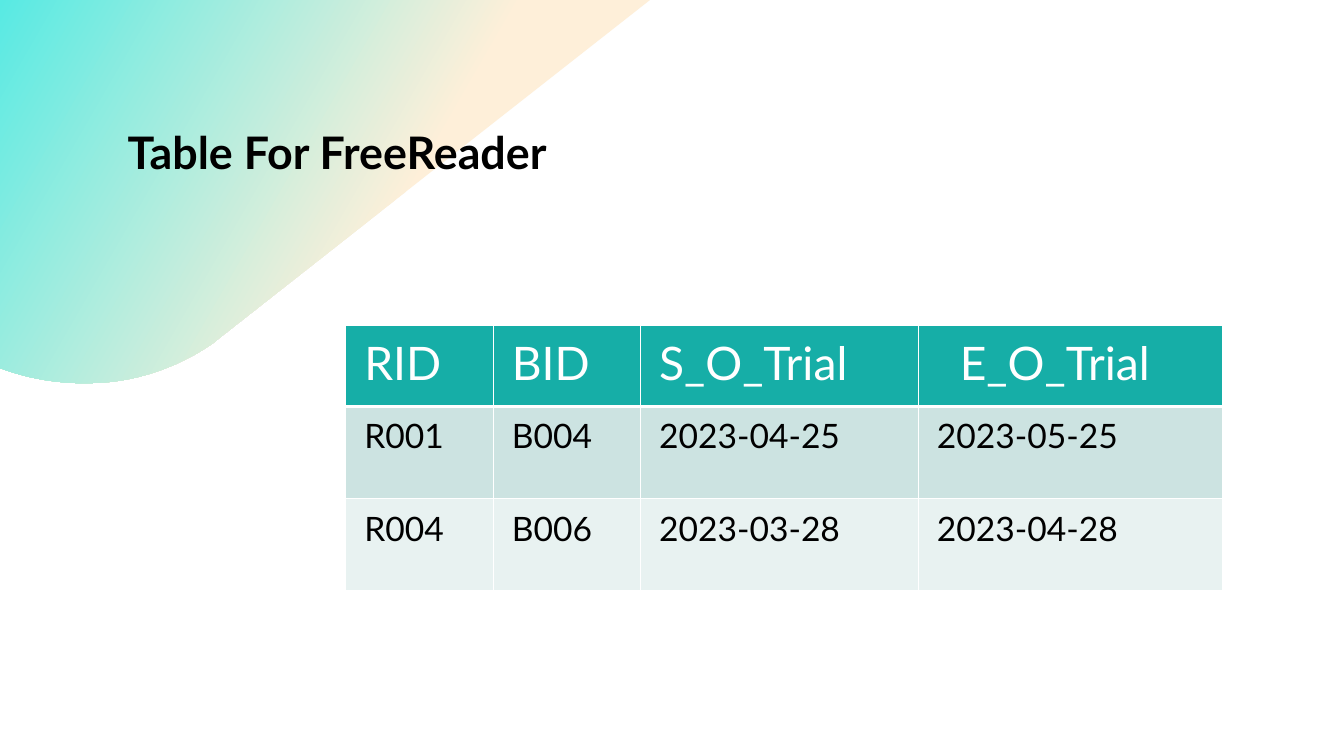
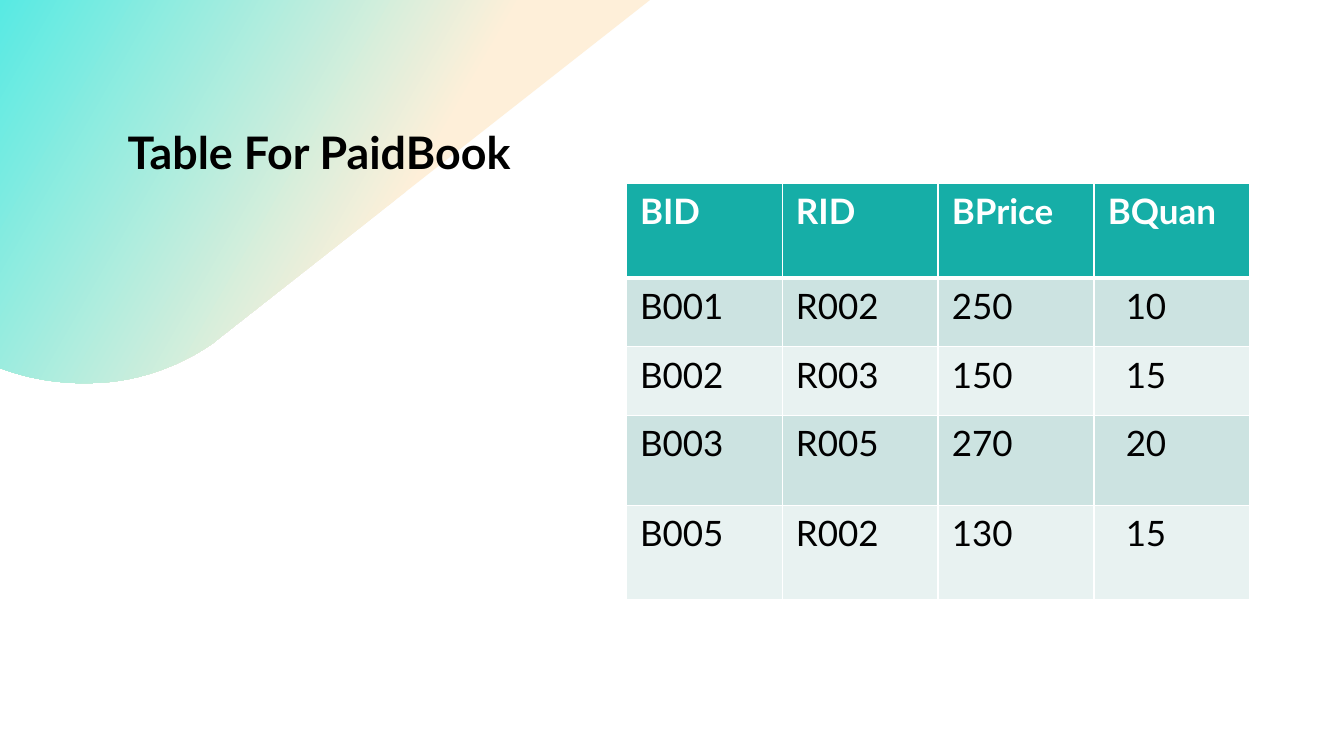
import lxml.etree
import pptx
import pptx.dml.color
import pptx.oxml.ns
import pptx.util

Cm = pptx.util.Cm
Pt = pptx.util.Pt


class Theme:
    font = "Lato"
    black = "000000"
    white = "FFFFFF"
    teal = "16AEA7"
    bands = ("CCE3E1", "E8F2F1")
    fade = ((0.4, "FEEFD9"), (1, "58EAE3"))
    slant = 330
    title = 32
    thin = 1
    thick = 3


SLIDES = [
    {
        "title": "Table For FreeReader",
        "rows": [
            ("RID", "BID", "S_O_Trial", "E_O_Trial"),
            ("R001", "B004", "2023-04-25", "2023-05-25"),
            ("R004", "B006", "2023-03-28", "2023-04-28"),
        ],
        "at": (8.71, 8.2),
        "widths": (3.72, 3.71, 7, 7.68),
        "heights": (2.04, 2.33, 2.32),
        "pad": (0.47, 0.23),
        "head": (33, False),
        "body": 24,
        "shift": {(0, 3): 0.58},
    },
    {
        "title": "Table For PaidBook",
        "rows": [
            ("BID", "RID", "BPrice", "BQuan"),
            ("B001", "R002", "250", "10"),
            ("B002", "R003", "150", "15"),
            ("B003", "R005", "270", "20"),
            ("B005", "R002", "130", "15"),
        ],
        "at": (15.78, 4.62),
        "widths": (3.93,) * 4,
        "heights": (2.39, 1.73, 1.72, 2.27, 2.39),
        "pad": (0.35, 0.18),
        "head": (25, True),
        "body": 25,
        "shift": {(row, 3): 0.45 for row in range(1, 5)},
    },
]

EDGE = [(0, 9.27), (0, 0), (16.38, 0), (5.51, 8.53), (5.38, 8.64)]
CURVES = [
    [(5.38, 8.64), (4.47, 9.27), (3.4, 9.63), (2.34, 9.65)],
    [(2.34, 9.65), (1.5, 9.68), (0.7, 9.54), (0, 9.27)],
]


def tint(code):
    return pptx.dml.color.RGBColor.from_string(code)


def bend(knots, steps=24):
    for step in range(1, steps + 1):
        t = step / steps
        parts = ((1 - t) ** 3, 3 * t * (1 - t) ** 2, 3 * t * t * (1 - t), t ** 3)
        yield tuple(sum(p * k[axis] for p, k in zip(parts, knots)) for axis in (0, 1))


def style(para, size, color, bold):
    font = para.font
    font.name, font.size, font.bold = Theme.font, Pt(size), bold
    font.color.rgb = tint(color)


def add_swoosh(slide):
    points = EDGE + [point for curve in CURVES for point in bend(curve)]
    wide, high = (max(axis) for axis in zip(*points))
    spots = [(Cm(wide - x), Cm(high - y)) for x, y in points]
    pen = slide.shapes.build_freeform(*spots[0], scale=1.0)
    pen.add_line_segments(spots[1:], close=True)
    shape = pen.convert_to_shape()
    shape.rotation = 180
    shape.shadow.inherit = False
    shape.line.fill.background()
    shape.fill.gradient()
    shape.fill.gradient_angle = Theme.slant
    for stop, (place, color) in zip(shape.fill.gradient_stops, Theme.fade):
        stop.position = place
        stop.color.rgb = tint(color)


def add_title(slide, text):
    frame = slide.shapes.add_textbox(Cm(2.97), Cm(3.18), Cm(13.97), Cm(2.95)).text_frame
    frame.word_wrap = True
    para = frame.paragraphs[0]
    para.text = text
    para.line_spacing = 0.9
    style(para, Theme.title, Theme.black, True)


def add_rules(cell, row):
    widths = {
        "L": Theme.thin,
        "R": Theme.thin,
        "T": Theme.thick if row == 1 else Theme.thin,
        "B": Theme.thick if row == 0 else Theme.thin,
    }
    qn = pptx.oxml.ns.qn
    props = cell._tc.get_or_add_tcPr()
    for index, (side, width) in enumerate(widths.items()):
        line = lxml.etree.Element(qn("a:ln" + side), w=str(Pt(width)))
        fill = lxml.etree.SubElement(line, qn("a:solidFill"))
        lxml.etree.SubElement(fill, qn("a:srgbClr"), val=Theme.white)
        props.insert(index, line)


def add_grid(slide, data):
    rows, widths, heights = data["rows"], data["widths"], data["heights"]
    left, top = data["at"]
    table = slide.shapes.add_table(
        len(rows), len(widths), Cm(left), Cm(top), Cm(sum(widths)), Cm(sum(heights))
    ).table
    for col, width in zip(table.columns, widths):
        col.width = Cm(width)
    for line, height in zip(table.rows, heights):
        line.height = Cm(height)
    side, rim = data["pad"]
    for r, texts in enumerate(rows):
        if r == 0:
            look, back = (data["head"][0], Theme.white, data["head"][1]), Theme.teal
        else:
            look, back = (data["body"], Theme.black, False), Theme.bands[(r - 1) % 2]
        for c, text in enumerate(texts):
            cell = table.cell(r, c)
            cell.margin_left = Cm(side + data["shift"].get((r, c), 0))
            cell.margin_right = Cm(side)
            cell.margin_top = cell.margin_bottom = Cm(rim)
            cell.fill.solid()
            cell.fill.fore_color.rgb = tint(back)
            add_rules(cell, r)
            para = cell.text_frame.paragraphs[0]
            para.text = text
            style(para, *look)


def main():
    deck = pptx.Presentation()
    deck.slide_width, deck.slide_height = Cm(33.87), Cm(19.05)
    for data in SLIDES:
        slide = deck.slides.add_slide(deck.slide_layouts[6])
        add_swoosh(slide)
        add_title(slide, data["title"])
        add_grid(slide, data)
    deck.save("out.pptx")


if __name__ == "__main__":
    main()
